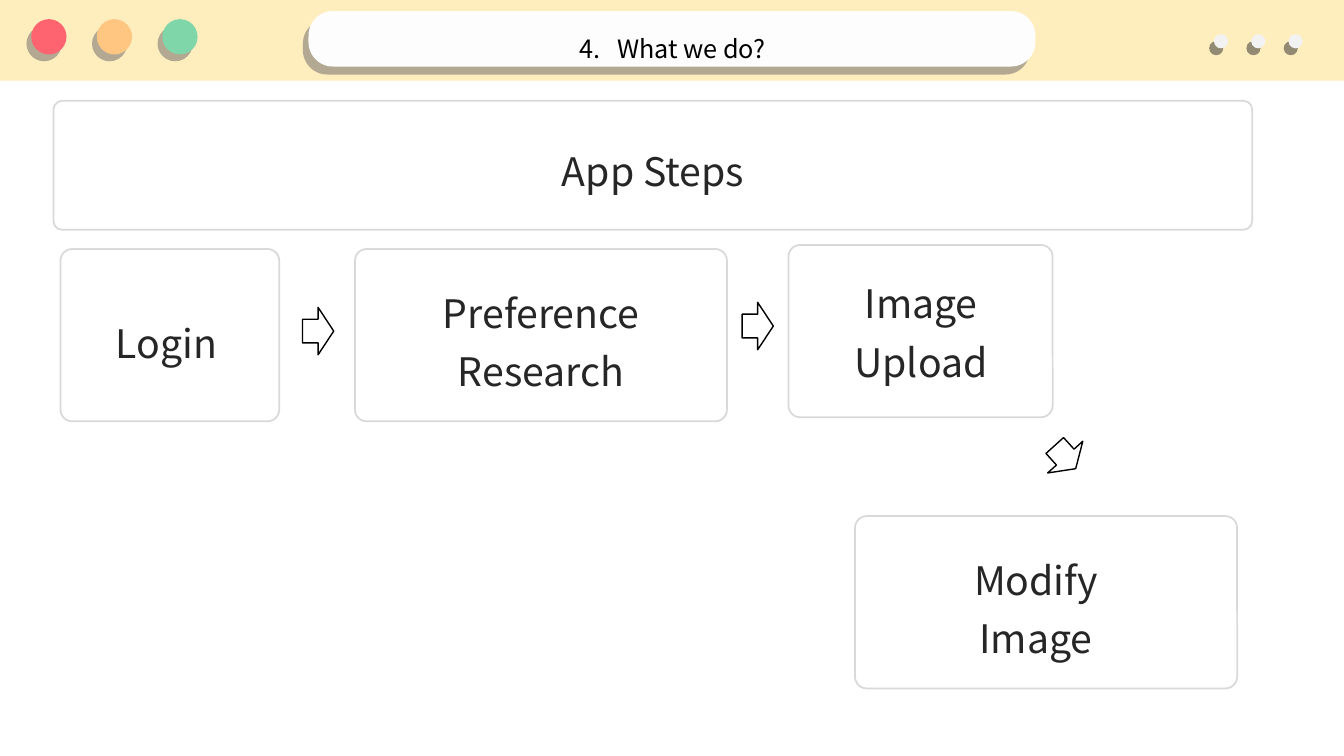
from lxml import etree
from pptx import Presentation
from pptx import util as u
from pptx.dml.color import RGBColor
from pptx.enum import shapes, text
from pptx.oxml import ns

COL = ROW = u.Inches(1)
COLS, ROWS = 13.33, 7.5
FONT = "Noto Sans CJK KR"
CREAM = RGBColor(0xFF, 0xEE, 0xBD)
WHITE = RGBColor(0xFF, 0xFF, 0xFF)
PILL = RGBColor(0xFD, 0xFD, 0xFD)
DOT = RGBColor(0xF2, 0xF2, 0xF2)
RED = RGBColor(0xFD, 0x64, 0x6F)
ORANGE = RGBColor(0xFF, 0xC6, 0x82)
GREEN = RGBColor(0x7F, 0xD7, 0xA9)
BORDER = RGBColor(0xD9, 0xD9, 0xD9)
INK = RGBColor(0x26, 0x26, 0x26)
BLACK = RGBColor(0, 0, 0)
GREY_SHADOW = RGBColor(0x76, 0x71, 0x71)
DARK_SHADOW = RGBColor(0x3B, 0x38, 0x38)
SHAPE = shapes.MSO_SHAPE


def place(x, y, w, h):
    """Turn grid columns and rows into slide lengths."""
    return int(x * COL), int(y * ROW), int(w * COL), int(h * ROW)


def add_shadow(sp, color, distance):
    """Give a shape a hard shadow towards the lower left."""
    effects = sp._element.spPr.find(ns.qn("a:effectLst"))
    shadow = etree.SubElement(effects, ns.qn("a:outerShdw"), blurRad="0",
                              dist=str(u.Pt(distance)), dir=str(125 * 60000),
                              algn="ctr", rotWithShape="0")
    clr = etree.SubElement(shadow, ns.qn("a:srgbClr"), val=str(color))
    etree.SubElement(clr, ns.qn("a:alpha"), val="55000")


def add_block(parent, kind, box, fill=None, line=None, width=1.0, corner=None,
              shadow=None, distance=6, rotation=0):
    """Draw a preset shape in a grid box."""
    sp = parent.add_shape(kind, *place(*box))
    sp.shadow.inherit = False
    sp.rotation = rotation
    if corner is not None:
        sp.adjustments[0] = corner
    if fill is None:
        sp.fill.background()
    else:
        sp.fill.solid()
        sp.fill.fore_color.rgb = fill
    if line is None:
        sp.line.fill.background()
    else:
        sp.line.color.rgb = line
        sp.line.width = u.Pt(width)
    if shadow is not None:
        add_shadow(sp, shadow, distance)
    return sp


def add_label(parent, words, box, size=28, color=INK, spacing=1.25, number=None):
    """Write centred text, numbered if a start number is given."""
    tf = parent.add_textbox(*place(*box)).text_frame
    tf.word_wrap = True
    tf.auto_size = text.MSO_AUTO_SIZE.SHAPE_TO_FIT_TEXT
    p = tf.paragraphs[0]
    p.alignment = text.PP_ALIGN.CENTER
    p.line_spacing = spacing
    if number is not None:
        pPr = p._p.get_or_add_pPr()
        pPr.set("marL", "342900")
        pPr.set("indent", "-342900")
        etree.SubElement(pPr, ns.qn("a:buFont"), typeface=FONT)
        etree.SubElement(pPr, ns.qn("a:buAutoNum"), type="arabicPeriod",
                         startAt=str(number))
    r = p.add_run()
    r.text = words
    r.font.name = FONT
    r.font.size = u.Pt(size)
    r.font.color.rgb = color


def add_card(s, words, box, label_box):
    """Group a bordered card with its label."""
    group = s.shapes.add_group_shape().shapes
    add_block(group, SHAPE.ROUNDED_RECTANGLE, box, fill=WHITE, line=BORDER,
              width=1.25, corner=0.068)
    add_label(group, words, label_box)


def add_arrow(s, x, y, rotation=0):
    """Draw an outlined block arrow between two steps."""
    add_block(s.shapes, SHAPE.RIGHT_ARROW, (x, y, 0.31, 0.47), line=BLACK,
              rotation=rotation)


def add_header(s):
    """Draw the window bar with its buttons, dots and title."""
    add_block(s.shapes, SHAPE.RECTANGLE, (0, 0, COLS, 0.8), fill=CREAM)
    for i in range(3):
        add_block(s.shapes, SHAPE.OVAL, (12.04 + i * 0.37, 0.34, 0.14, 0.14),
                  fill=DOT, shadow=DARK_SHADOW)
    add_block(s.shapes, SHAPE.ROUNDED_RECTANGLE, (3.06, 0.11, 7.21, 0.55),
              fill=PILL, corner=0.44, shadow=GREY_SHADOW, distance=7)
    for i, color in enumerate((RED, ORANGE, GREEN)):
        add_block(s.shapes, SHAPE.OVAL, (0.31 + i * 0.65, 0.19, 0.35, 0.35),
                  fill=color, shadow=GREY_SHADOW)
    add_label(s.shapes, "What we do?", (4.86, 0.13, 3.62, 0.51), size=18,
              color=BLACK, spacing=1.5, number=4)


def main():
    """Build the slide and save it."""
    prs = Presentation()
    prs.slide_width, prs.slide_height = int(COLS * COL), int(ROWS * ROW)
    s = prs.slides.add_slide(prs.slide_layouts[6])
    add_header(s)
    cards = [
        ("App Steps", (0.53, 1, 11.89, 1.28), (1.68, 1.3, 9.59, 0.65)),
        ("Login", (0.6, 2.47, 2.17, 1.71), (0.94, 3, 1.42, 0.65)),
        ("Preference Research", (3.52, 2.47, 3.69, 1.71), (3.78, 2.7, 3.17, 1.24)),
        ("Image Upload", (7.82, 2.43, 2.62, 1.71), (8.22, 2.61, 1.83, 1.24)),
        ("Modify Image", (8.48, 5.12, 3.79, 1.71), (9.04, 5.35, 2.47, 1.24)),
    ]
    for words, box, label_box in cards:
        add_card(s, words, box, label_box)
    for x, y, rotation in ((3, 3.05, 0), (7.36, 3, 0), (10.41, 4.3, 47.9)):
        add_arrow(s, x, y, rotation)
    prs.save("out.pptx")


if __name__ == "__main__":
    main()
